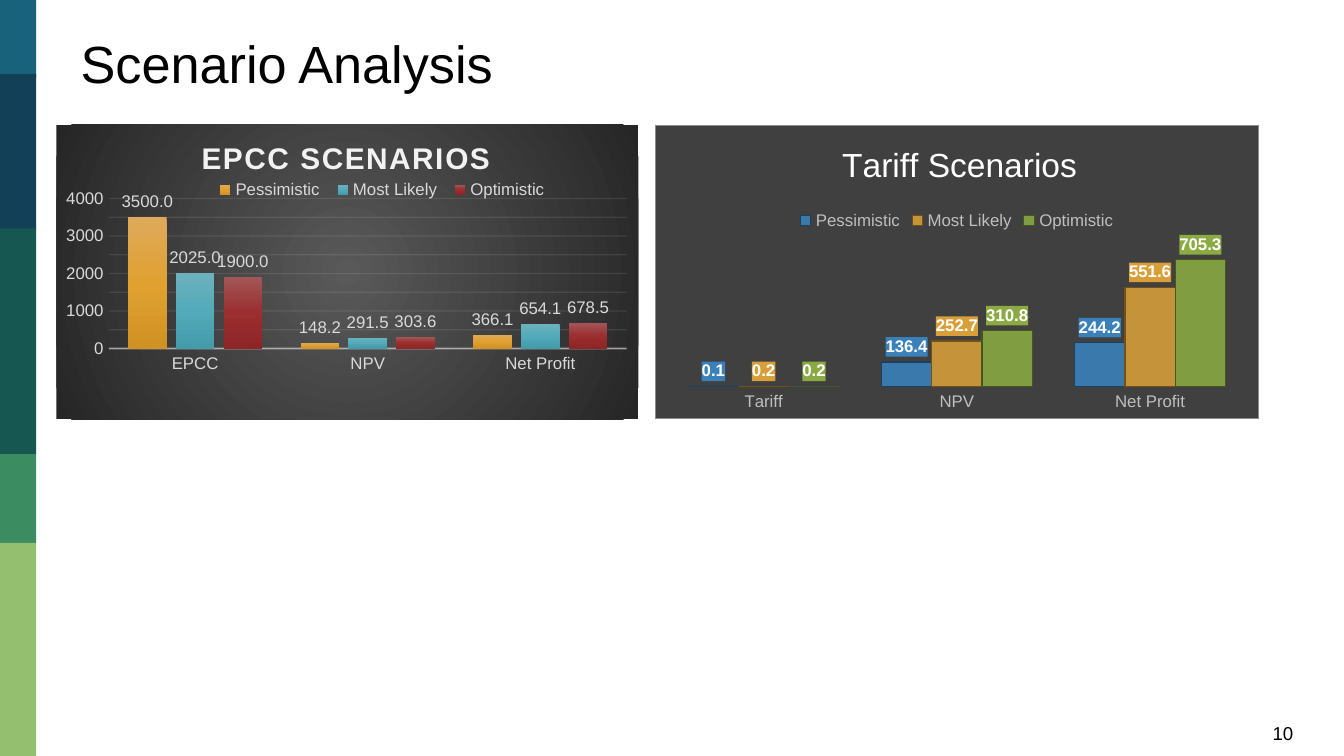
import pptx
import pptx.chart.data
import pptx.dml.color
import pptx.enum.chart
import pptx.enum.shapes
import pptx.enum.text
import pptx.oxml
import pptx.oxml.ns
import pptx.util
from pptx.util import Inches

RGB = pptx.dml.color.RGBColor
BLACK = RGB(0x00, 0x00, 0x00)
WHITE = RGB(0xFF, 0xFF, 0xFF)
PALE = RGB(0xF2, 0xF2, 0xF2)
LIGHT_GRAY = RGB(0xD9, 0xD9, 0xD9)
SILVER = RGB(0xBF, 0xBF, 0xBF)
MID_GRAY = RGB(0x8C, 0x8C, 0x8C)
CHARCOAL = RGB(0x40, 0x40, 0x40)
GLOW_CENTER = RGB(0x59, 0x59, 0x59)
GLOW_EDGE = RGB(0x26, 0x26, 0x26)

# Top, height and colour of each band at the left edge
SIDE_BANDS = [
    (0, 0.58, RGB(0x18, 0x63, 0x7B)),
    (0.55, 1.16, RGB(0x12, 0x40, 0x57)),
    (1.7, 1.68, RGB(0x16, 0x57, 0x51)),
    (3.38, 0.66, RGB(0x3B, 0x8D, 0x61)),
    (4.04, 1.59, RGB(0x94, 0xBF, 0x6E)),
]
SCENARIOS = ["Pessimistic", "Most Likely", "Optimistic"]
EPCC_VALUES = [(3500, 148.2, 366.1), (2025, 291.5, 654.1), (1900, 303.6, 678.5)]
TARIFF_VALUES = [(0.1, 136.4, 244.2), (0.2, 252.7, 551.6), (0.2, 310.8, 705.3)]
EPCC_GRADIENTS = [
    [RGB(0xDE, 0xA9, 0x5B), RGB(0xE0, 0xA1, 0x31), RGB(0xD0, 0x92, 0x23)],
    [RGB(0x6E, 0xB1, 0xBD), RGB(0x52, 0xAA, 0xBA), RGB(0x44, 0x9B, 0xAA)],
    [RGB(0xA3, 0x56, 0x57), RGB(0x9B, 0x2E, 0x2F), RGB(0x8E, 0x25, 0x26)],
]
# Fill and outline of each tariff scenario
TARIFF_COLORS = [
    (RGB(0x3A, 0x81, 0xBA), RGB(0x1D, 0x40, 0x5D)),
    (RGB(0xD8, 0x9F, 0x39), RGB(0x72, 0x51, 0x16)),
    (RGB(0x8B, 0xAB, 0x42), RGB(0x46, 0x56, 0x21)),
]
NAMESPACES = pptx.oxml.ns.nsdecls("a", "c")


def set_font(font, size, color, bold=False):
    settings = {"name": "Arial", "size": pptx.util.Pt(size), "bold": bold}
    for attribute, value in settings.items():
        setattr(font, attribute, value)
    font.color.rgb = color


def solid_xml(color, alpha=100):
    return (f'<a:solidFill {NAMESPACES}><a:srgbClr val="{color}">'
            f'<a:alpha val="{alpha * 1000}"/></a:srgbClr></a:solidFill>')


def gradient_xml(colors, direction):
    step = 100000 // (len(colors) - 1)
    stops = "".join(f'<a:gs pos="{i * step}"><a:srgbClr val="{color}"/></a:gs>'
                    for i, color in enumerate(colors))
    return (f'<a:gradFill {NAMESPACES} rotWithShape="1"><a:gsLst>{stops}</a:gsLst>'
            f'{direction}</a:gradFill>')


def replace_fill(series_or_line, parent, fill_xml):
    """Swap the solid fill that parent() finds for one described in XML."""
    series_or_line.fill.solid()
    old = parent()
    old.getparent().replace(old, pptx.oxml.parse_xml(fill_xml))


def add_fill_before_text(owner, fill_xml, line_xml=""):
    """Give a chart area or a set of data labels its background."""
    properties = f"<c:spPr {NAMESPACES}>{fill_xml}{line_xml}</c:spPr>"
    owner.xpath("./c:txPr")[0].addprevious(pptx.oxml.parse_xml(properties))


def place(element, after, inner, **fractions):
    """Lay out a chart part by fractions of the chart's size."""
    for old in element.xpath("./c:layout"):
        element.remove(old)
    target = '<c:layoutTarget val="inner"/>' if inner else ""
    modes = "".join(f'<c:{key}Mode val="edge"/>' for key in "xy")
    values = "".join(f'<c:{key} val="{value}"/>' for key, value in fractions.items())
    layout = pptx.oxml.parse_xml(
        f"<c:layout {NAMESPACES}><c:manualLayout>{target}{modes}{values}"
        "</c:manualLayout></c:layout>")
    if after:
        element.xpath(f"./{after}")[0].addnext(layout)
    else:
        element.insert(0, layout)


def add_side_band(slide, top, height, color):
    band = slide.shapes.add_shape(pptx.enum.shapes.MSO_SHAPE.RECTANGLE,
                                  0, Inches(top), Inches(0.27), Inches(height))
    band.shadow.inherit = False
    band.fill.solid()
    band.fill.fore_color.rgb = color
    band.line.fill.background()


def set_title(slide, text):
    title = slide.shapes.title
    bounds = {"left": 0.5, "top": 0.18, "width": 9, "height": 1.25}
    for attribute, value in bounds.items():
        setattr(title, attribute, Inches(value))
    title.text_frame.text = text
    title.text_frame.vertical_anchor = pptx.enum.text.MSO_ANCHOR.TOP
    paragraph = title.text_frame.paragraphs[0]
    paragraph.alignment = pptx.enum.text.PP_ALIGN.LEFT
    set_font(paragraph.runs[0].font, 28, BLACK)


def add_page_number(slide, number):
    box = slide.shapes.add_textbox(Inches(9.37), Inches(5.32), Inches(0.45), Inches(0.27))
    box.text_frame.word_wrap = True
    box.text_frame.text = number
    set_font(box.text_frame.paragraphs[0].runs[0].font, 10, BLACK)


def add_scenario_chart(slide, left, width, title, values, gap, maximum, text_color,
                       legend_position):
    """Add the parts that both column charts share."""
    data = pptx.chart.data.CategoryChartData(number_format="0.0")
    data.categories = [title.split()[0], "NPV", "Net Profit"]
    for name, series_values in zip(SCENARIOS, values):
        data.add_series(name, series_values)
    chart = slide.shapes.add_chart(
        pptx.enum.chart.XL_CHART_TYPE.COLUMN_CLUSTERED, Inches(left), Inches(0.93),
        Inches(width), Inches(2.19), data).chart
    set_font(chart.font, 10, BLACK)
    chart.has_title = True
    chart.chart_title.text_frame.text = title
    chart.has_legend = True
    chart.legend.position = legend_position
    chart.legend.include_in_layout = False
    set_font(chart.legend.font, 9, text_color)

    plot = chart.plots[0]
    plot.gap_width = gap
    plot.vary_by_categories = False
    for axis in (chart.category_axis, chart.value_axis):
        axis.major_tick_mark = pptx.enum.chart.XL_TICK_MARK.NONE
        set_font(axis.tick_labels.font, 9, text_color)
        axis.format.line.fill.background()
    chart.value_axis.minimum_scale = 0
    chart.value_axis.maximum_scale = maximum
    for series in plot.series:
        labels = series.data_labels
        settings = {"show_value": True, "number_format": "0.0",
                    "number_format_is_linked": False,
                    "position": pptx.enum.chart.XL_LABEL_POSITION.OUTSIDE_END}
        for attribute, value in settings.items():
            setattr(labels, attribute, value)
        set_font(labels.font, 9, text_color)
    return chart


def arrange(chart, title, legend, plot):
    root = chart.element
    place(root.xpath(".//c:title")[0], "c:tx", False, **title)
    place(root.xpath(".//c:legend")[0], "c:legendPos", False, **legend)
    place(root.xpath(".//c:plotArea")[0], None, True, **plot)


def add_epcc_chart(slide):
    chart = add_scenario_chart(slide, 0.42, 4.33, "EPCC SCENARIOS", EPCC_VALUES, 100, 4000,
                               LIGHT_GRAY, pptx.enum.chart.XL_LEGEND_POSITION.BOTTOM)
    root = chart.element
    set_font(chart.chart_title.text_frame.paragraphs[0].runs[0].font, 16, PALE, True)
    root.xpath(".//c:title//a:r/a:rPr")[0].set("spc", "100")
    chart.plots[0].overlap = -24
    axis = chart.value_axis
    axis.major_unit = 500
    axis.tick_labels.number_format = "General"
    axis.tick_labels.number_format_is_linked = False
    for line, part, width, alpha in (
            (axis.major_gridlines.format.line, "c:majorGridlines", 0.75, 10),
            (chart.category_axis.format.line, "c:catAx", 1, 54)):
        line.width = pptx.util.Pt(width)
        replace_fill(line, lambda: root.xpath(f".//{part}/c:spPr/a:ln/a:solidFill")[0],
                     solid_xml(PALE, alpha))
    for series, node, colors in zip(chart.plots[0].series, root.xpath(".//c:ser"),
                                    EPCC_GRADIENTS):
        replace_fill(series.format, lambda: node.xpath("./c:spPr/a:solidFill")[0],
                     gradient_xml(colors, '<a:lin ang="5400000" scaled="0"/>'))
    center = ('<a:path path="circle"><a:fillToRect l="50000" t="50000" r="50000" '
              'b="50000"/></a:path>')
    add_fill_before_text(root, gradient_xml([GLOW_CENTER, GLOW_EDGE], center),
                         "<a:ln><a:noFill/></a:ln>")
    arrange(chart, {"x": 0.24, "y": 0.03}, {"x": 0.26, "y": 0.18, "w": 0.6, "h": 0.08},
            {"x": 0.09, "y": 0.25, "w": 0.89, "h": 0.51})


def add_tariff_chart(slide):
    chart = add_scenario_chart(slide, 4.87, 4.5, "Tariff Scenarios", TARIFF_VALUES, 84, 800,
                               SILVER, pptx.enum.chart.XL_LEGEND_POSITION.TOP)
    root = chart.element
    set_font(chart.chart_title.text_frame.paragraphs[0].runs[0].font, 18, WHITE)
    chart.plots[0].overlap = 0
    chart.value_axis.visible = False
    chart.value_axis.has_major_gridlines = False
    for series, node, (fill, outline) in zip(chart.plots[0].series, root.xpath(".//c:ser"),
                                             TARIFF_COLORS):
        replace_fill(series.format, lambda: node.xpath("./c:spPr/a:solidFill")[0],
                     solid_xml(fill, 88))
        series.format.line.width = pptx.util.Pt(0.75)
        series.format.line.color.rgb = outline
        set_font(series.data_labels.font, 9, WHITE, True)
        add_fill_before_text(node.xpath("./c:dLbls")[0], solid_xml(fill))
    add_fill_before_text(root, solid_xml(CHARCOAL),
                         f'<a:ln w="6350">{solid_xml(MID_GRAY)}</a:ln>')
    arrange(chart, {"x": 0.3, "y": 0.04}, {"x": 0.23, "y": 0.28, "w": 0.54, "h": 0.09},
            {"x": 0.02, "y": 0.4, "w": 0.96, "h": 0.49})


def main():
    deck = pptx.Presentation()
    deck.slide_width = Inches(10)
    deck.slide_height = deck.slide_width * 9 // 16
    slide = deck.slides.add_slide(deck.slide_layouts[5])
    for band in SIDE_BANDS:
        add_side_band(slide, *band)
    set_title(slide, "Scenario Analysis")
    add_epcc_chart(slide)
    add_tariff_chart(slide)
    add_page_number(slide, "10")
    deck.save("out.pptx")


if __name__ == "__main__":
    main()
